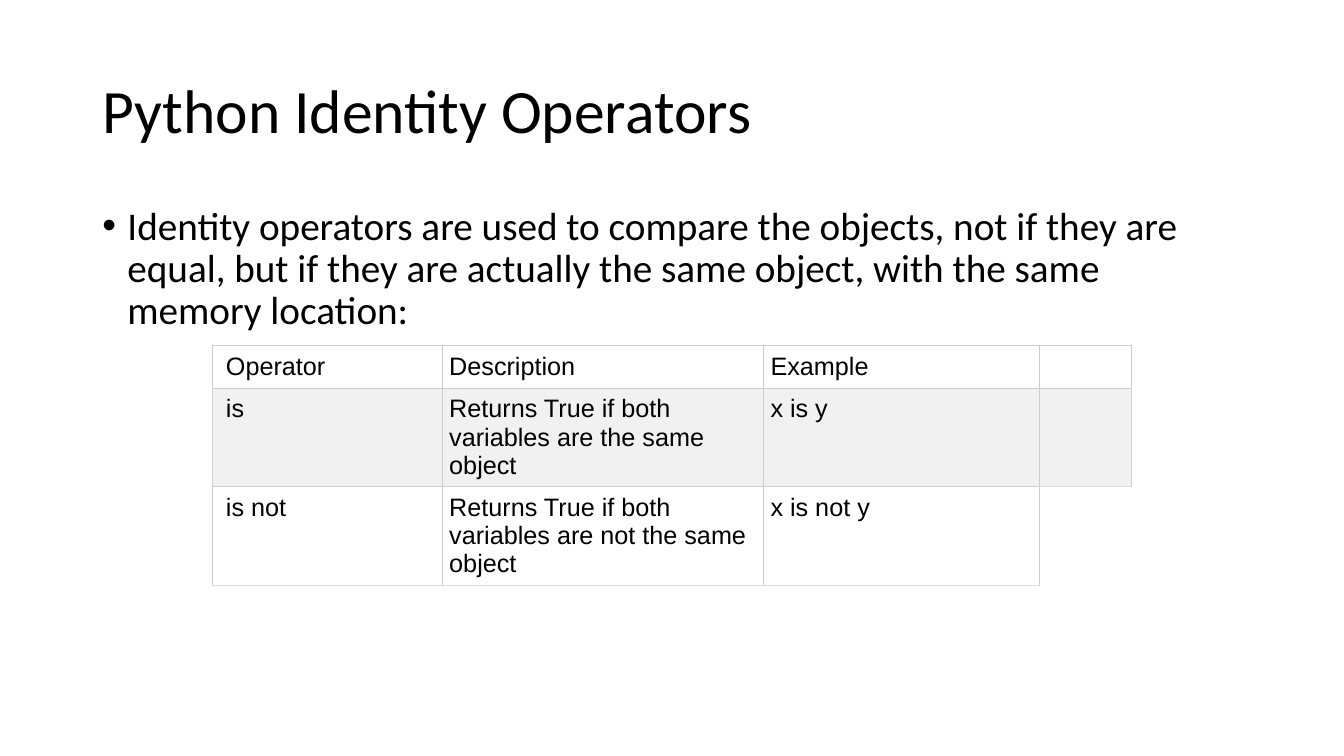
import pptx
import pptx.util
import pptx.oxml
import pptx.oxml.ns
import pptx.dml.color
import pptx.enum.text

Pt = pptx.util.Pt
RGB = pptx.dml.color.RGBColor
BLACK = RGB(0x00, 0x00, 0x00)
WHITE = RGB(0xFF, 0xFF, 0xFF)
BAND = RGB(0xF1, 0xF1, 0xF1)
RULE = RGB(0xCC, 0xCC, 0xCC)
EDGE = RGB(0xDD, 0xDD, 0xDD)
NS = pptx.oxml.ns.nsdecls("a")

ROWS = [
    ["Operator", "Description", "Example", ""],
    ["is ", "Returns True if both variables are the same object", "x is y", ""],
    ["is not", "Returns True if both variables are not the same object", "x is not y", ""],
]


class Deck:
    font = "Calibri"
    cell_font = "Arial"

    def __init__(self):
        self.show = pptx.Presentation()
        self.show.slide_width = Pt(960)
        self.show.slide_height = Pt(540)
        self.slide = self.show.slides.add_slide(self.show.slide_layouts[5])

    def style(self, para, size, font):
        para.alignment = pptx.enum.text.PP_ALIGN.LEFT
        for run in para.runs:
            run.font.size = Pt(size)
            run.font.name = font
            run.font.color.rgb = BLACK

    def label(self, shape, text, box, size, anchor):
        shape.left, shape.top, shape.width, shape.height = map(Pt, box)
        frame = shape.text_frame
        frame.text = text
        frame.word_wrap = True
        frame.auto_size = pptx.enum.text.MSO_AUTO_SIZE.NONE
        frame.vertical_anchor = anchor
        para = frame.paragraphs[0]
        para.line_spacing = 0.9
        self.style(para, size, self.font)
        return para

    def title(self, text, box):
        middle = pptx.enum.text.MSO_ANCHOR.MIDDLE
        self.label(self.slide.shapes.title, text, box, 44, middle)

    def bullet(self, text, box):
        shape = self.slide.shapes.add_textbox(*map(Pt, box))
        para = self.label(shape, text, box, 28, pptx.enum.text.MSO_ANCHOR.TOP)
        props = para._p.get_or_add_pPr()
        props.set("marL", str(Pt(18)))
        props.set("indent", str(-Pt(18)))
        for tag in ('buFont %s typeface="Arial"', 'buChar %s char="•"'):
            props.append(pptx.oxml.parse_xml(f"<a:{tag % NS}/>"))

    def border(self, cell, lines):
        props = cell._tc.get_or_add_tcPr()
        for spot, (side, color) in enumerate(zip("LRTB", lines)):
            fill = "<a:noFill/>"
            if color is not None:
                fill = f'<a:solidFill><a:srgbClr val="{color}"/></a:solidFill>'
            line = f'<a:ln{side} {NS} w="{Pt(0.75)}">{fill}</a:ln{side}>'
            props.insert(spot, pptx.oxml.parse_xml(line))

    def cell(self, cell, text, row, col):
        cell.text = text
        self.style(cell.text_frame.paragraphs[0], 18, self.cell_font)
        if text:
            cell.margin_left = Pt(9.5 if col == 0 else 5)
            cell.margin_right = cell.margin_top = cell.margin_bottom = Pt(5)
        if (row, col) == (2, 3):
            cell.fill.background()
            self.border(cell, (RULE, None, EDGE, None))
            return
        cell.fill.solid()
        cell.fill.fore_color.rgb = BAND if row == 1 else WHITE
        last = row == 2 or (row, col) == (1, 3)
        self.border(cell, (RULE, RULE, RULE, EDGE if last else RULE))

    def table(self, rows, left, top, widths, heights):
        box = map(Pt, (left, top, sum(widths), sum(heights)))
        table = self.slide.shapes.add_table(len(rows), len(widths), *box).table
        table.first_row = table.horz_banding = False
        for col, width in zip(table.columns, widths):
            col.width = Pt(width)
        for row, height in zip(table.rows, heights):
            row.height = Pt(height)
        for r, texts in enumerate(rows):
            for c, text in enumerate(texts):
                self.cell(table.cell(r, c), text, r, c)


def main():
    deck = Deck()
    deck.title("Python Identity Operators", (66, 28.75, 828, 104.4))
    deck.bullet(
        "Identity operators are used to compare the objects, not if they are equal, "
        "but if they are actually the same object, with the same memory location:",
        (66, 143.75, 828, 342.6),
    )
    deck.table(ROWS, 151.9, 247, (164, 229.5, 197, 65.7), (30, 70, 70))
    deck.show.save("out.pptx")


if __name__ == "__main__":
    main()
